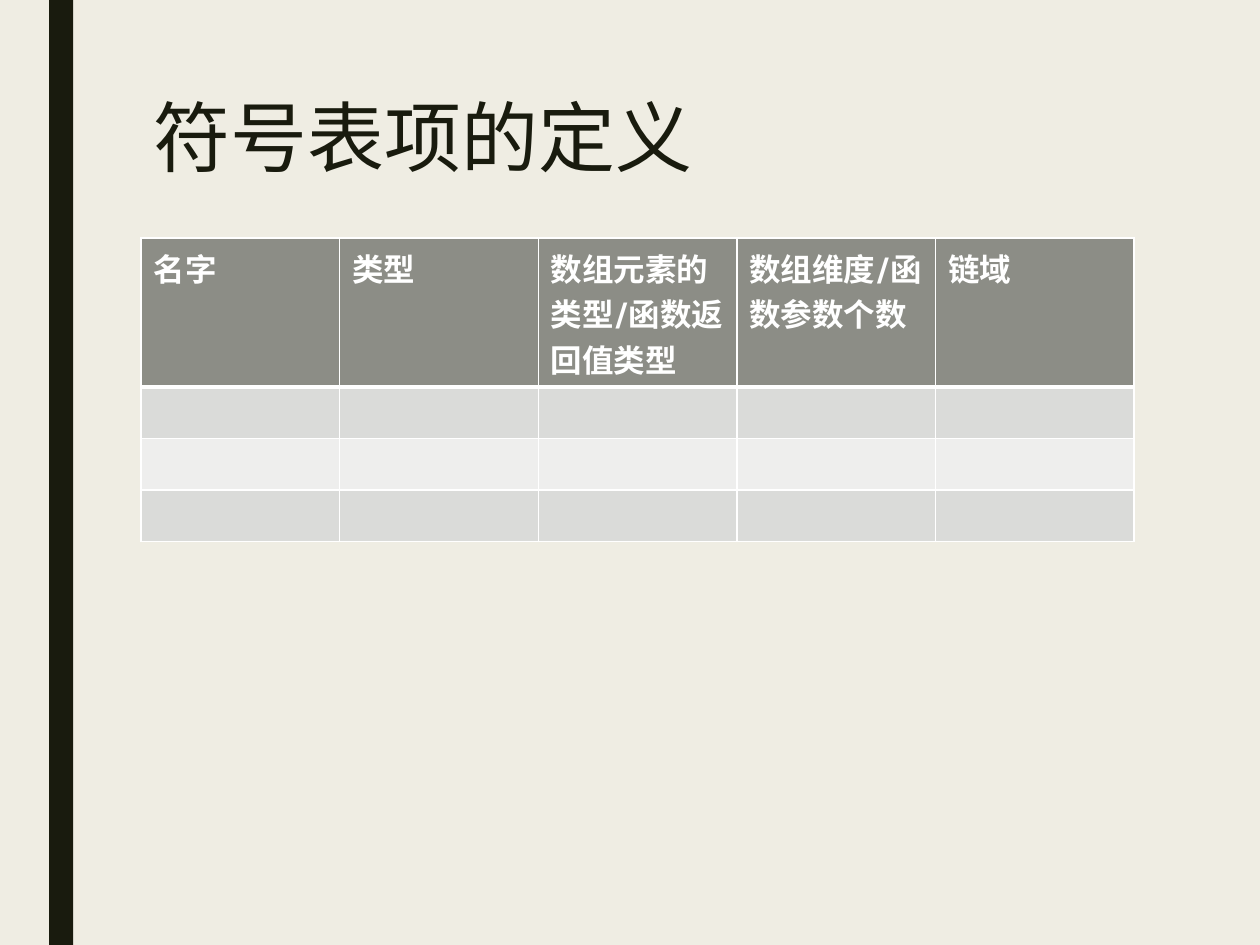
import pptx
import pptx.util
import pptx.dml.color
import pptx.enum.shapes
import pptx.enum.text
import pptx.oxml
import pptx.oxml.ns
from lxml import etree

Inches, Pt = pptx.util.Inches, pptx.util.Pt

# Content
TITLE = "符号表项的定义"
HEADERS = ["名字", "类型", "数组元素的类型/函数返回值类型", "数组维度/函数参数个数", "链域"]
EMPTY_ROWS = 3

FONT = "Karla"
COLORS = {
    "background": "EFEDE3",
    "dark": "191B0E",
    "header": "8C8D86",
    "odd": "DADBD9",
    "even": "EEEEED",
    "white": "FFFFFF",
}
LEFT, WIDTH = 1.12, 7.88
TABLE_TOP, HEADER_H, ROW_H = 1.89, 1.18, 0.41


def rgb(name):
    return pptx.dml.color.RGBColor.from_string(COLORS[name])


def write(tf, text, size=18, color="dark", bold=False, spacing=None):
    p = tf.paragraphs[0]
    p.line_spacing = spacing
    r = p.add_run()
    r.text = text
    r.font.name = FONT
    r.font.size = Pt(size)
    r.font.bold = bold
    r.font.color.rgb = rgb(color)


def style_cell(cell, fill, bottom=1):
    tcPr = cell._tc.get_or_add_tcPr()
    for side, width in (("L", 1), ("R", 1), ("T", 1), ("B", bottom)):
        ln = etree.SubElement(tcPr, pptx.oxml.ns.qn(f"a:ln{side}"), w=str(Pt(width)))
        solid = etree.SubElement(ln, pptx.oxml.ns.qn("a:solidFill"))
        etree.SubElement(solid, pptx.oxml.ns.qn("a:srgbClr"), val=COLORS["white"])
    cell.fill.solid()
    cell.fill.fore_color.rgb = rgb(fill)


prs = pptx.Presentation()
prs.slide_width, prs.slide_height = Inches(10), Inches(7.5)
s = prs.slides.add_slide(prs.slide_layouts[6])
s.background.fill.solid()
s.background.fill.fore_color.rgb = rgb("background")

# Side bar
bar = s.shapes.add_shape(pptx.enum.shapes.MSO_SHAPE.RECTANGLE,
                         Inches(0.39), 0, Inches(0.19), prs.slide_height)
bar.shadow.inherit = False
bar.fill.solid()
bar.fill.fore_color.rgb = rgb("dark")
bar.line.fill.background()

# Title
tf = s.shapes.add_textbox(Inches(LEFT), Inches(0.75), Inches(WIDTH), Inches(1.62)).text_frame
tf.word_wrap = True
tf.vertical_anchor = pptx.enum.text.MSO_ANCHOR.TOP
write(tf, TITLE, size=44, spacing=0.89)

# Symbol table
table = s.shapes.add_table(
    EMPTY_ROWS + 1, len(HEADERS), Inches(LEFT), Inches(TABLE_TOP),
    Inches(WIDTH), Inches(HEADER_H + EMPTY_ROWS * ROW_H)).table
for i, row in enumerate(table.rows):
    row.height = Inches(ROW_H if i else HEADER_H)
    for cell, header in zip(row.cells, HEADERS):
        if i == 0:
            style_cell(cell, "header", bottom=3)
            write(cell.text_frame, header, color="white", bold=True)
        else:
            style_cell(cell, "odd" if i % 2 else "even")

prs.save("out.pptx")
